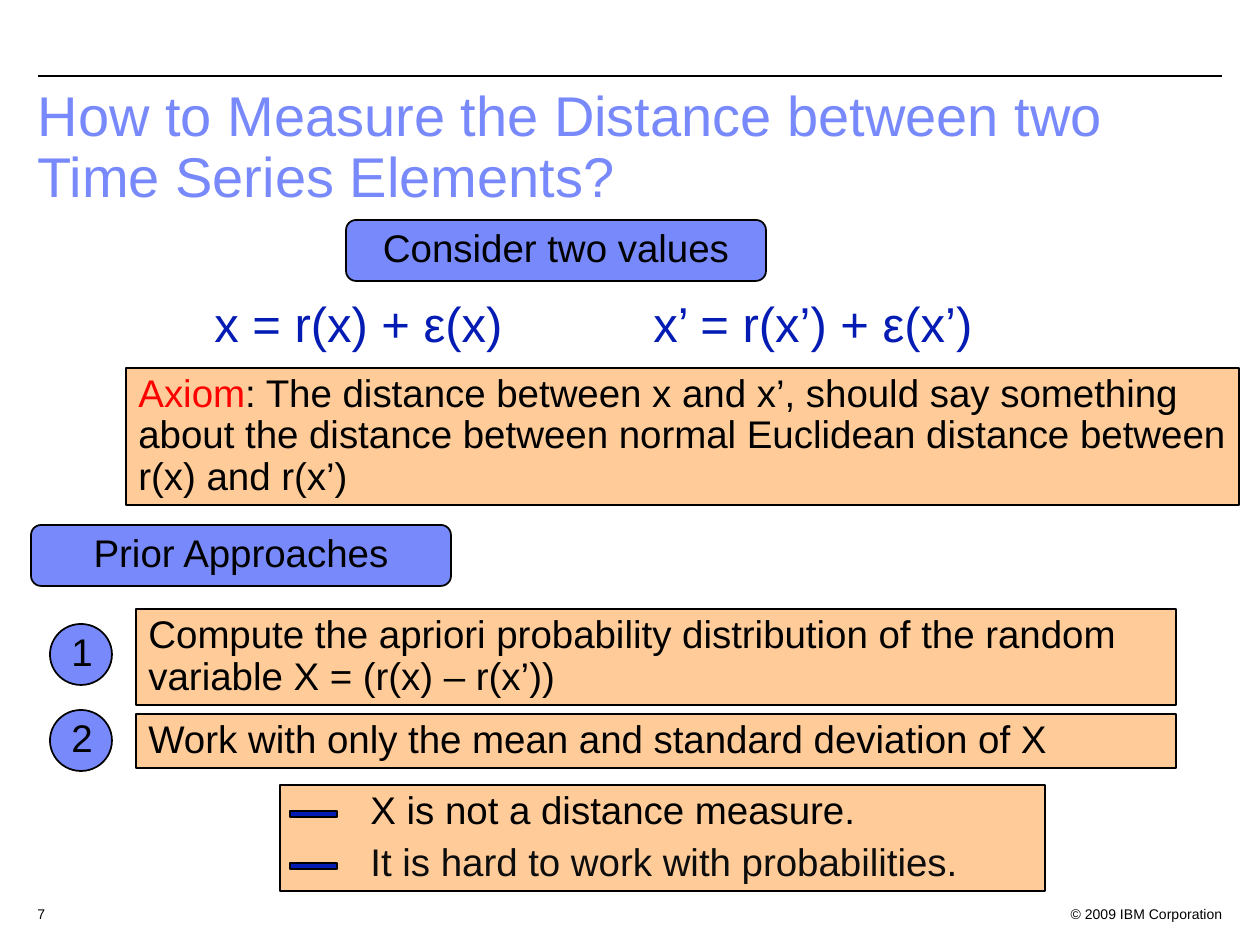
"""Build the slide on measuring the distance between two time series elements."""
from dataclasses import dataclass

from lxml.etree import SubElement
from pptx import Presentation
from pptx.dml.color import RGBColor as Rgb
from pptx.enum.shapes import MSO_CONNECTOR as Connector, MSO_SHAPE as Preset
from pptx.enum.text import MSO_ANCHOR as Anchor, MSO_AUTO_SIZE as AutoSize, PP_ALIGN as Align
from pptx.oxml.ns import qn
from pptx.util import Pt

EMU_PER_PX = 914400 / 126


@dataclass(frozen=True)
class Theme:
    font: str = "Arial"
    ink: str = "000000"
    soft_ink: str = "0D0D0D"
    periwinkle: str = "7889FB"
    navy: str = "051CB4"
    peach: str = "FFCC99"
    alert: str = "FF0000"
    title_size: int = 32
    formula_size: int = 28
    body_size: int = 22
    footer_size: int = 8
    line_spacing: float = 0.9
    gap: float = 5.5


THEME = Theme()


def px(*lengths):
    return [round(length * EMU_PER_PX) for length in lengths]


def style(paragraph, size, color=THEME.ink, align=Align.LEFT):
    paragraph.alignment = align
    paragraph.line_spacing = THEME.line_spacing
    paragraph.font.name = THEME.font
    paragraph.font.size = Pt(size)
    paragraph.font.color.rgb = Rgb.from_string(color)


def add_title(slide, text, bounds):
    title = slide.shapes.title
    title.left, title.top, title.width, title.height = px(*bounds)
    frame = title.text_frame
    frame.text = text
    frame.word_wrap = True
    frame.auto_size = AutoSize.NONE
    frame.vertical_anchor = Anchor.TOP
    style(frame.paragraphs[0], THEME.title_size, THEME.periwinkle)


def add_label(slide, text, bounds, size, color=THEME.ink, align=Align.LEFT, wrap=True):
    frame = slide.shapes.add_textbox(*px(*bounds)).text_frame
    frame.word_wrap = wrap
    frame.text = text
    style(frame.paragraphs[0], size, color, align)


def add_block(slide, preset, bounds, fill):
    block = slide.shapes.add_shape(preset, *px(*bounds))
    block.shadow.inherit = False
    block.fill.solid()
    block.fill.fore_color.rgb = Rgb.from_string(fill)
    block.line.color.rgb = Rgb.from_string(THEME.ink)
    block.line.width = Pt(1)
    return block


def add_badge(slide, text, bounds, preset=Preset.ROUNDED_RECTANGLE):
    frame = add_block(slide, preset, bounds, THEME.periwinkle).text_frame
    frame.text = text
    style(frame.paragraphs[0], THEME.body_size, align=Align.CENTER)


def add_statement(slide, text, bounds, lead=""):
    paragraph = add_block(slide, Preset.RECTANGLE, bounds, THEME.peach).text_frame.paragraphs[0]
    style(paragraph, THEME.body_size)
    if lead:
        lead_run = paragraph.add_run()
        lead_run.text = lead
        lead_run.font.color.rgb = Rgb.from_string(THEME.alert)
    paragraph.add_run().text = text


def add_drawbacks(slide, drawbacks, bounds, indent):
    left, top = bounds[:2]
    frame = add_block(slide, Preset.RECTANGLE, bounds, THEME.peach).text_frame
    frame.text = "\n".join(text for text, _ in drawbacks)
    for row, (paragraph, (_, color)) in enumerate(zip(frame.paragraphs, drawbacks)):
        paragraph._p.get_or_add_pPr().set("marL", str(px(indent)[0]))
        style(paragraph, THEME.body_size, color)
        if row:
            paragraph.space_before = Pt(THEME.gap)
        add_block(slide, Preset.RECTANGLE, (left + 10, top + 26 + 52 * row, 47, 6), THEME.navy)


def add_rule(slide, left, right, y):
    rule = slide.shapes.add_connector(Connector.STRAIGHT, *px(left, y, right, y))
    rule.line.color.rgb = Rgb.from_string(THEME.ink)
    rule.line.width = Pt(0.75)
    SubElement(rule._element.spPr, qn("a:effectLst"))


def main():
    deck = Presentation()
    deck.slide_width, deck.slide_height = px(1260, 945)
    slide = deck.slides.add_slide(deck.slide_layouts[5])

    add_rule(slide, 38, 1222, 76)
    add_title(slide, "How to Measure the Distance between two Time Series Elements?",
              (25, 82, 1197, 88))

    add_badge(slide, "Consider two values", (346, 220, 420, 61))
    for formula, left, width in (("x = r(x) + ε(x)", 202, 314),
                                 ("x’ = r(x’) + ε(x’)", 641, 345)):
        add_label(slide, formula, (left, 294, width, 66), THEME.formula_size,
                  THEME.navy, wrap=False)
    add_statement(slide, ": The distance between x and x’, should say something about the "
                  "distance between normal Euclidean distance between r(x) and r(x’)",
                  (126, 368, 1113, 137), lead="Axiom")

    add_badge(slide, "Prior Approaches", (31, 525, 420, 61))
    approaches = (
        ("Compute the apriori probability distribution of the random variable X = (r(x) – r(x’))",
         609, 96, 624),
        ("Work with only the mean and standard deviation of X", 714, 54, 710),
    )
    for number, (text, top, height, badge_top) in enumerate(approaches, start=1):
        add_statement(slide, text, (136, top, 1040, height))
        add_badge(slide, str(number), (50, badge_top, 62, 61), Preset.OVAL)

    add_drawbacks(slide, (("X is not a distance measure.", THEME.ink),
                          ("It is hard to work with probabilities.", THEME.soft_ink)),
                  (280, 785, 765, 106), indent=78)

    add_label(slide, "7", (25, 901, 50, 25), THEME.footer_size)
    add_label(slide, "© 2009 IBM Corporation", (1046, 901, 189, 25),
              THEME.footer_size, align=Align.RIGHT)
    deck.save("out.pptx")


if __name__ == "__main__":
    main()
